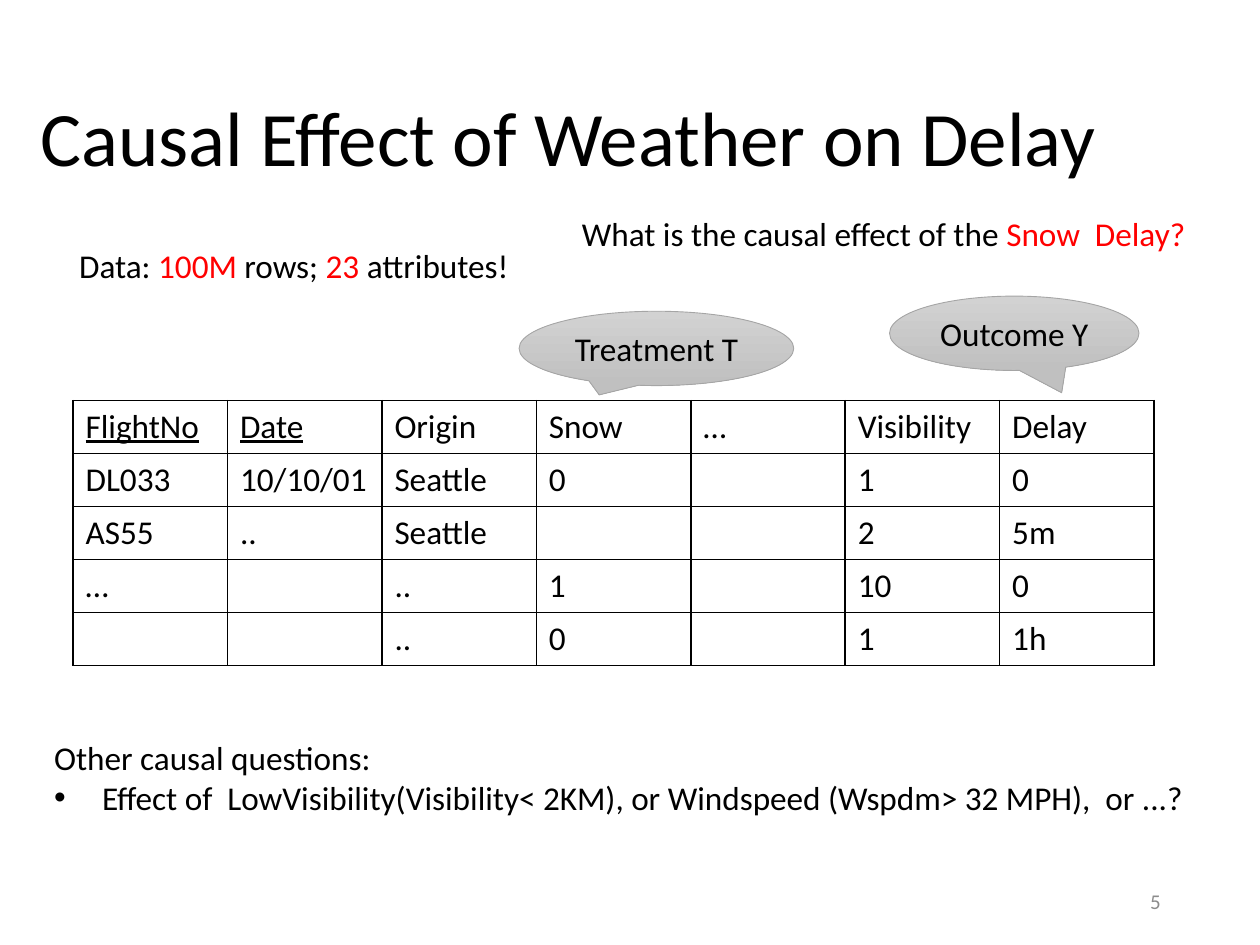
from lxml import etree
from pptx import Presentation
from pptx.dml.color import RGBColor
from pptx.enum.shapes import MSO_SHAPE
from pptx.enum.text import MSO_ANCHOR, MSO_AUTO_SIZE, PP_ALIGN
from pptx.oxml import parse_xml
from pptx.oxml.ns import nsdecls, qn
from pptx.util import Inches, Pt

CALLOUT = MSO_SHAPE.OVAL_CALLOUT
MIDDLE, TOP = MSO_ANCHOR.MIDDLE, MSO_ANCHOR.TOP
LEFT, CENTER, RIGHT = PP_ALIGN.LEFT, PP_ALIGN.CENTER, PP_ALIGN.RIGHT
FIXED = MSO_AUTO_SIZE.NONE

INK = {"text": "000000", "key": "FF0000", "page": "8C8C8C",
       "rim": "A5A5A5", "light": "D2D2D2", "dark": "C0C0C0"}
FONT, SIZE = "Calibri", 19
COLS, ROWS = 100, 75
WIDE, HIGH = Inches(10), Inches(7.5)

HEAD = ["FlightNo", "Date", "Origin", "Snow", "…", "Visibility", "Delay"]
KEYS = ("FlightNo", "Date")
DATA = [
    HEAD,
    ["DL033", "10/10/01", "Seattle", "0", "", "1", "0"],
    ["AS55", "..", "Seattle", "", "", "2", "5m"],
    ["…", "", "..", "1", "", "10", "0"],
    ["", "", "..", "0", "", "1", "1h"],
]


def grid(box):
    """Turn grid columns and rows into slide lengths."""
    x, y, w, h = box
    return (int(WIDE * x / COLS), int(HIGH * y / ROWS),
            int(WIDE * w / COLS), int(HIGH * h / ROWS))


def place(shape, box):
    """Move a placeholder to a grid box."""
    shape.left, shape.top, shape.width, shape.height = grid(box)


def color(name):
    """Look up a named colour."""
    return RGBColor.from_string(INK[name])


def write(para, runs, size=SIZE, align=LEFT):
    """Add (text, colour) runs to a paragraph."""
    para.alignment = align
    for text, ink in runs:
        run = para.add_run()
        run.text = text
        run.font.name, run.font.size = FONT, Pt(size)
        run.font.color.rgb = color(ink)


def title(slide, box, text):
    """Fill the title placeholder."""
    shape = slide.shapes.title
    place(shape, box)
    frame = shape.text_frame
    frame.auto_size, frame.vertical_anchor = FIXED, MIDDLE
    write(frame.paragraphs[0], [(text, "text")], 44)
    frame.paragraphs[0].line_spacing = 0.9


def note(slide, box, runs, size=SIZE, align=LEFT, anchor=TOP, wrap=True):
    """Add a one-line text box."""
    frame = slide.shapes.add_textbox(*grid(box)).text_frame
    frame.word_wrap, frame.vertical_anchor = wrap, anchor
    write(frame.paragraphs[0], runs, size, align)


def bubble(slide, box, text, tip=None):
    """Add a grey callout; tip is its pointer offset."""
    shape = slide.shapes.add_shape(CALLOUT, *grid(box))
    shape.shadow.inherit = False
    if tip:
        shape.adjustments[0], shape.adjustments[1] = tip
    shape.fill.gradient()
    shape.fill.gradient_angle = 270
    for stop, name in zip(shape.fill.gradient_stops, ("light", "dark")):
        stop.color.rgb = color(name)
    shape.line.color.rgb = color("rim")
    shape.line.width = Pt(0.5)
    frame = shape.text_frame
    frame.word_wrap, frame.vertical_anchor = False, MIDDLE
    write(frame.paragraphs[0], [(text, "text")], align=CENTER)


def rule(cell):
    """Draw a thin line on all sides of a cell."""
    props = cell._tc.get_or_add_tcPr()
    for spot, side in enumerate("LRTB"):
        props.insert(spot, parse_xml(
            f'<a:ln{side} {nsdecls("a")} w="{Pt(1)}"><a:solidFill>'
            f'<a:srgbClr val="{INK["text"]}"/></a:solidFill></a:ln{side}>'))


def flights(slide, box):
    """Add the flight table with equal columns and rows."""
    frame = slide.shapes.add_table(len(DATA), len(HEAD), *grid(box))
    table = frame.table
    table.first_row = table.horz_banding = False
    for r, row in enumerate(DATA):
        for c, text in enumerate(row):
            cell = table.cell(r, c)
            cell.fill.background()
            rule(cell)
            if text:
                para = cell.text_frame.paragraphs[0]
                write(para, [(text, "text")])
                para.runs[0].font.underline = text in KEYS


def bullet(para, mark, indent):
    """Set a bullet with a hanging indent, or none."""
    props = para._p.get_or_add_pPr()
    props.set("marL", str(indent))
    props.set("indent", str(-indent))
    if mark:
        etree.SubElement(props, qn("a:buChar")).set("char", mark)
    else:
        etree.SubElement(props, qn("a:buNone"))


def asks(slide, box, lead, items):
    """Fill the body placeholder with a lead line and a list."""
    body = slide.placeholders[1]
    place(body, box)
    frame = body.text_frame
    frame.auto_size, frame.word_wrap = FIXED, False
    frame.vertical_anchor = TOP
    for i, text in enumerate([lead] + items):
        para = frame.add_paragraph() if i else frame.paragraphs[0]
        write(para, [(text, "text")])
        para.space_before = Pt(0)
        bullet(para, "•" if i else "", Inches(0.38) if i else 0)


def build():
    """Build the deck."""
    deck = Presentation()
    deck.slide_width, deck.slide_height = WIDE, HIGH
    slide = deck.slides.add_slide(deck.slide_layouts[1])
    title(slide, (2.2, 4, 91, 14.5), "Causal Effect of Weather on Delay")
    flights(slide, (5.8, 31.8, 85.8, 21))
    bubble(slide, (41.2, 24.7, 21.8, 5.9), "Treatment T")
    bubble(slide, (70.6, 23.5, 19.8, 5.9), "Outcome Y", (0.19, 0.8))
    asks(slide, (3.3, 58, 92.1, 10.6), "Other causal questions:",
         ["Effect of  LowVisibility(Visibility< 2KM), "
          "or Windspeed (Wspdm> 32 MPH),  or ...?"])
    note(slide, (45.2, 16.4, 50, 7.4),
         [("What is the causal effect of the ", "text"),
          ("Snow  Delay?", "key")])
    note(slide, (5.3, 19, 37.8, 4.2),
         [("Data:", "text"), (" 100M ", "key"), ("rows; ", "text"),
          ("23 ", "key"), ("attributes!", "text")])
    note(slide, (70.6, 69.5, 22.5, 4), [("5", "page")], 12, RIGHT, MIDDLE)
    deck.save("out.pptx")


build()
